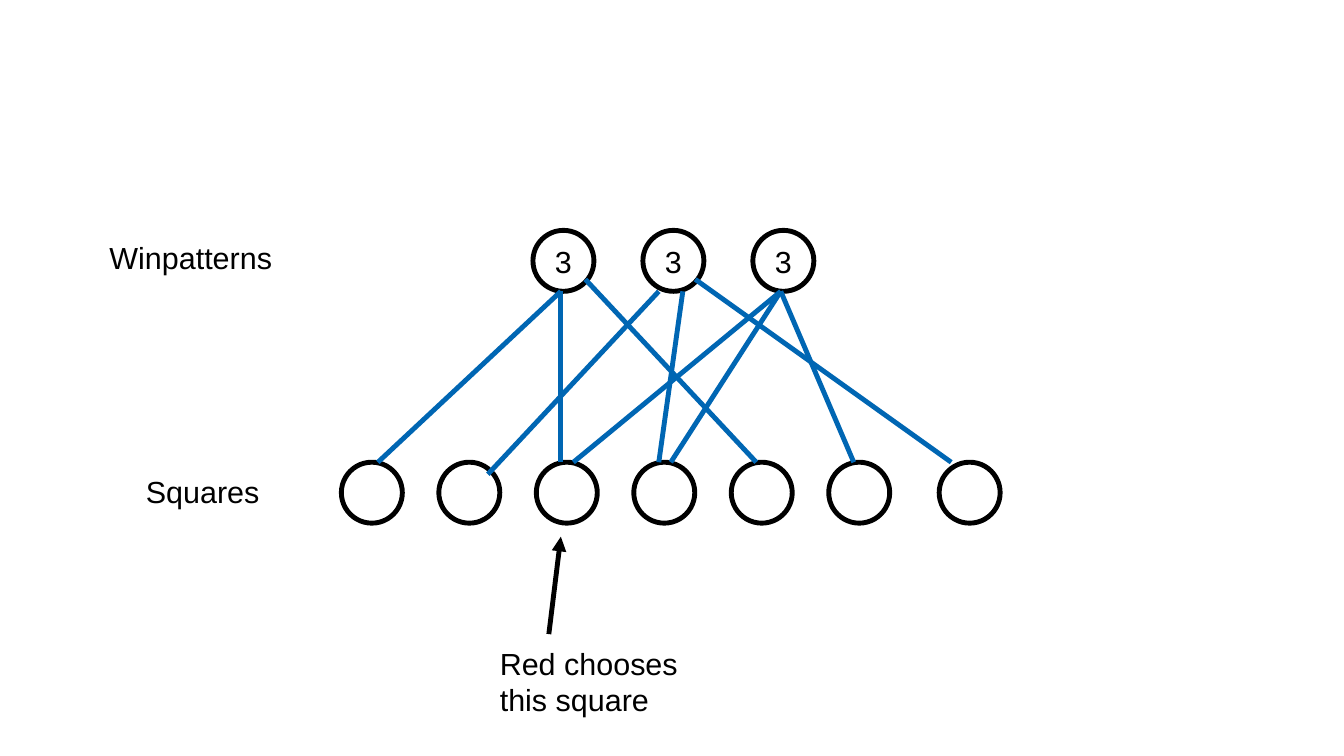
from lxml import etree
from pptx import Presentation
from pptx.dml.color import RGBColor
from pptx.enum.shapes import MSO_CONNECTOR, MSO_SHAPE
from pptx.enum.text import MSO_ANCHOR, PP_ALIGN
from pptx.oxml.ns import qn
from pptx.util import Cm, Pt

OVAL = MSO_SHAPE.OVAL
STRAIGHT = MSO_CONNECTOR.STRAIGHT
CENTER, MIDDLE = PP_ALIGN.CENTER, MSO_ANCHOR.MIDDLE

BLACK = RGBColor(0x00, 0x00, 0x00)
BLUE = RGBColor(0x00, 0x66, 0xB3)

LINE_WIDTH = Pt(2.89)
FONT = {"name": "Arial", "size": Pt(18)}

# Layout in centimetres
DIAMETER = 1.27
PATTERN_LEFT, PATTERN_STEP, PATTERN_TOP = 11.1, 2.29, 4.8
SQUARE_LEFT, SQUARE_STEP, SQUARE_TOP = 7.11, 2.03, 9.63
LAST_SQUARE_LEFT = 19.56
PATTERN_BOTTOM = PATTERN_TOP + DIAMETER
PATTERN_SIDE = PATTERN_BOTTOM - 0.25
SQUARE_SIDE = SQUARE_TOP + 0.25

# Each winpattern's lines: start x, start y, end x, end y
EDGES = [
    # First winpattern
    (11.68, PATTERN_BOTTOM, 7.87, SQUARE_TOP),
    (11.68, PATTERN_BOTTOM, 11.68, SQUARE_TOP),
    (12.19, PATTERN_SIDE, 15.75, SQUARE_TOP),
    # Second winpattern
    (13.72, PATTERN_BOTTOM, 10.16, SQUARE_SIDE),
    (14.22, PATTERN_BOTTOM, 13.72, SQUARE_TOP),
    (14.48, PATTERN_SIDE, 19.81, SQUARE_TOP),
    # Third winpattern
    (16.26, PATTERN_BOTTOM, 17.78, SQUARE_TOP),
    (16.26, PATTERN_BOTTOM, 13.97, SQUARE_TOP),
    (16.26, PATTERN_BOTTOM, 11.94, SQUARE_TOP),
]

# Text, left, top, width, height
LABELS = [
    ("Winpatterns", 2.03, 4.85, 4.32, 0.97),
    ("Squares", 2.79, 9.73, 3.05, 1.68),
    ("Red chooses this square", 10.16, 13.31, 4.32, 1.68),
]


def write(tf, text):
    r = tf.paragraphs[0].add_run()
    r.text = text
    for name, value in FONT.items():
        setattr(r.font, name, value)
    r.font.color.rgb = BLACK


def add_circle(slide, left, top, text=None):
    sp = slide.shapes.add_shape(OVAL, Cm(left), Cm(top), Cm(DIAMETER), Cm(DIAMETER))
    sp.shadow.inherit = False
    sp.fill.background()
    sp.line.color.rgb = BLACK
    sp.line.width = LINE_WIDTH
    if text:
        tf = sp.text_frame
        tf.word_wrap = False
        tf.vertical_anchor = MIDDLE
        tf.paragraphs[0].alignment = CENTER
        write(tf, text)


def add_label(slide, text, *box):
    tf = slide.shapes.add_textbox(*map(Cm, box)).text_frame
    tf.word_wrap = True
    write(tf, text)


def add_line(slide, ends, color, arrow=False):
    cxn = slide.shapes.add_connector(STRAIGHT, *map(Cm, ends))
    cxn.line.color.rgb = color
    cxn.line.width = LINE_WIDTH
    if arrow:
        ln = cxn.line._get_or_add_ln()
        etree.SubElement(ln, qn("a:tailEnd"), type="triangle")
    etree.SubElement(cxn._element.spPr, qn("a:effectLst"))


def main():
    prs = Presentation()
    prs.slide_width, prs.slide_height = Cm(27.99), Cm(15.75)
    slide = prs.slides.add_slide(prs.slide_layouts[6])

    # Squares, the last one set apart
    for left in [SQUARE_LEFT + i * SQUARE_STEP for i in range(6)] + [LAST_SQUARE_LEFT]:
        add_circle(slide, left, SQUARE_TOP)

    # Winpatterns with their counts
    for i in range(3):
        add_circle(slide, PATTERN_LEFT + i * PATTERN_STEP, PATTERN_TOP, "3")

    # Lines from winpatterns to squares
    for ends in EDGES:
        add_line(slide, ends, BLUE)

    # Arrow to the chosen square
    add_line(slide, (11.43, 13.21, 11.68, 11.18), BLACK, arrow=True)

    # Labels
    for label in LABELS:
        add_label(slide, *label)

    prs.save("out.pptx")


if __name__ == "__main__":
    main()
